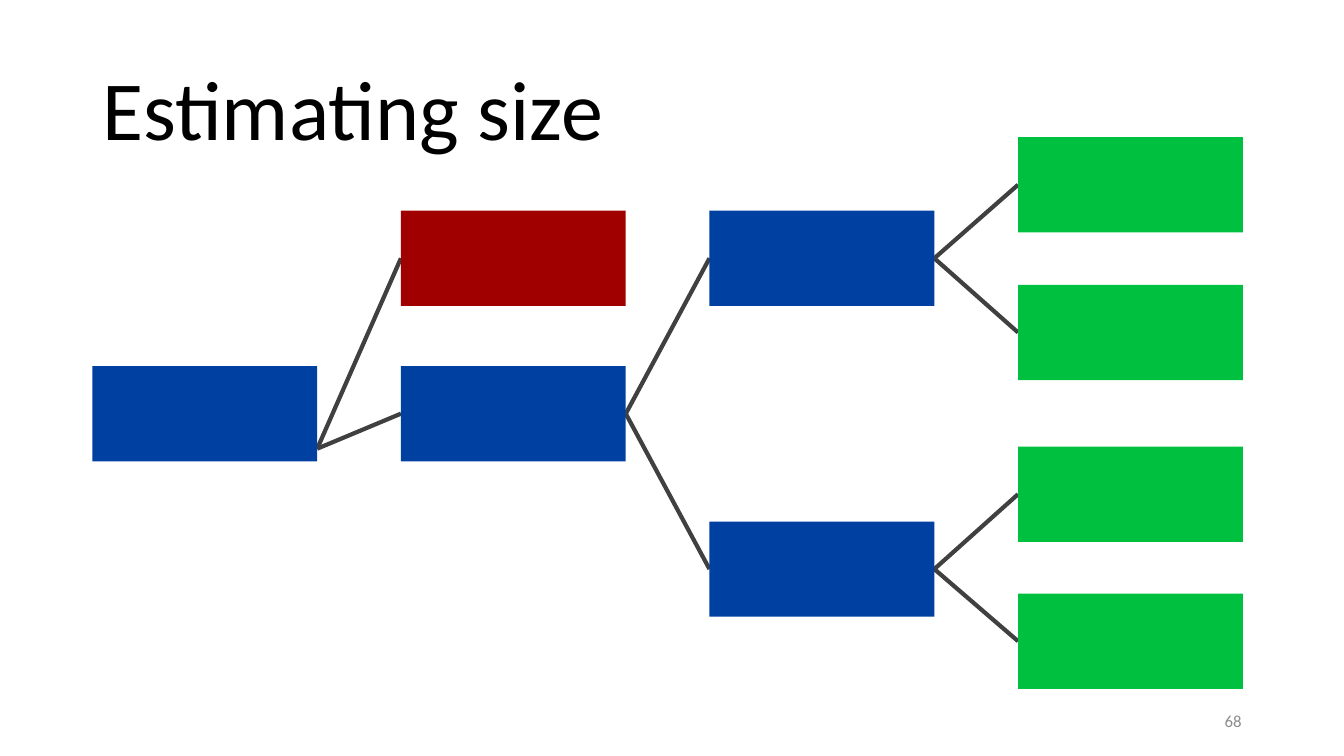
from lxml.etree import SubElement
from pptx import Presentation
from pptx.dml.color import RGBColor
from pptx.enum.shapes import MSO_CONNECTOR, MSO_SHAPE
from pptx.enum.text import MSO_ANCHOR, PP_ALIGN
from pptx.oxml.ns import qn
from pptx.util import Pt

BLACK = RGBColor(0x00, 0x00, 0x00)
GRAY = RGBColor(0x8C, 0x8C, 0x8C)
DARK = RGBColor(0x40, 0x40, 0x40)
BLUE = RGBColor(0x00, 0x40, 0xA0)
RED = RGBColor(0xA0, 0x00, 0x00)
GREEN = RGBColor(0x00, 0xC0, 0x40)

NODE_W, NODE_H = 160.6, 68
COLUMN_STEP = 220.4

# Node: (column, centre y from the tree's top, colour)
NODES = {
    "root": (0, 197.5, BLUE),
    "pruned": (1, 86.5, RED),
    "kept": (1, 197.5, BLUE),
    "upper": (2, 86.5, BLUE),
    "lower": (2, 308.5, BLUE),
    "leaf 1": (3, 34, GREEN),
    "leaf 2": (3, 139.5, GREEN),
    "leaf 3": (3, 255, GREEN),
    "leaf 4": (3, 360, GREEN),
}
CHILDREN = {
    "root": ["pruned", "kept"],
    "kept": ["upper", "lower"],
    "upper": ["leaf 1", "leaf 2"],
    "lower": ["leaf 3", "leaf 4"],
}
EXIT_DROP = {"root": 25}  # the root's branches leave below its middle


def add_text(s, text, left, top, width, height, size, color, align=PP_ALIGN.LEFT, spacing=1.0):
    tf = s.shapes.add_textbox(Pt(left), Pt(top), Pt(width), Pt(height)).text_frame
    tf.word_wrap = True
    tf.vertical_anchor = MSO_ANCHOR.MIDDLE
    p = tf.paragraphs[0]
    p.alignment = align
    p.line_spacing = spacing
    r = p.add_run()
    r.text = text
    r.font.name = "Calibri"
    r.font.size = Pt(size)
    r.font.color.rgb = color


def add_branch(s, x1, y1, x2, y2):
    line = s.shapes.add_connector(MSO_CONNECTOR.STRAIGHT, Pt(x1), Pt(y1), Pt(x2), Pt(y2))
    line.line.color.rgb = DARK
    line.line.width = Pt(3)
    SubElement(line._element.spPr, qn("a:effectLst"))


def add_node(s, left, middle, color):
    sp = s.shapes.add_shape(MSO_SHAPE.RECTANGLE, Pt(left), Pt(middle - NODE_H / 2),
                            Pt(NODE_W), Pt(NODE_H))
    sp.shadow.inherit = False
    sp.fill.solid()
    sp.fill.fore_color.rgb = color
    sp.line.fill.background()


def add_tree(s, left, top):
    places = {name: (left + column * COLUMN_STEP, top + y)
              for name, (column, y, _) in NODES.items()}
    for parent, children in CHILDREN.items():
        x, y = places[parent]
        for child in children:
            add_branch(s, x + NODE_W, y + EXIT_DROP.get(parent, 0), *places[child])
    for name, (_, _, color) in NODES.items():
        add_node(s, *places[name], color)


def main():
    prs = Presentation()
    prs.slide_width, prs.slide_height = Pt(960), Pt(540)
    s = prs.slides.add_slide(prs.slide_layouts[6])
    add_text(s, "Estimating size", 66, 28.8, 828, 104.4, 60, BLACK, spacing=0.9)
    add_text(s, "68", 678, 500.5, 216, 28.8, 12, GRAY, align=PP_ALIGN.RIGHT)
    add_tree(s, 66, 98)
    prs.save("out.pptx")


if __name__ == "__main__":
    main()
